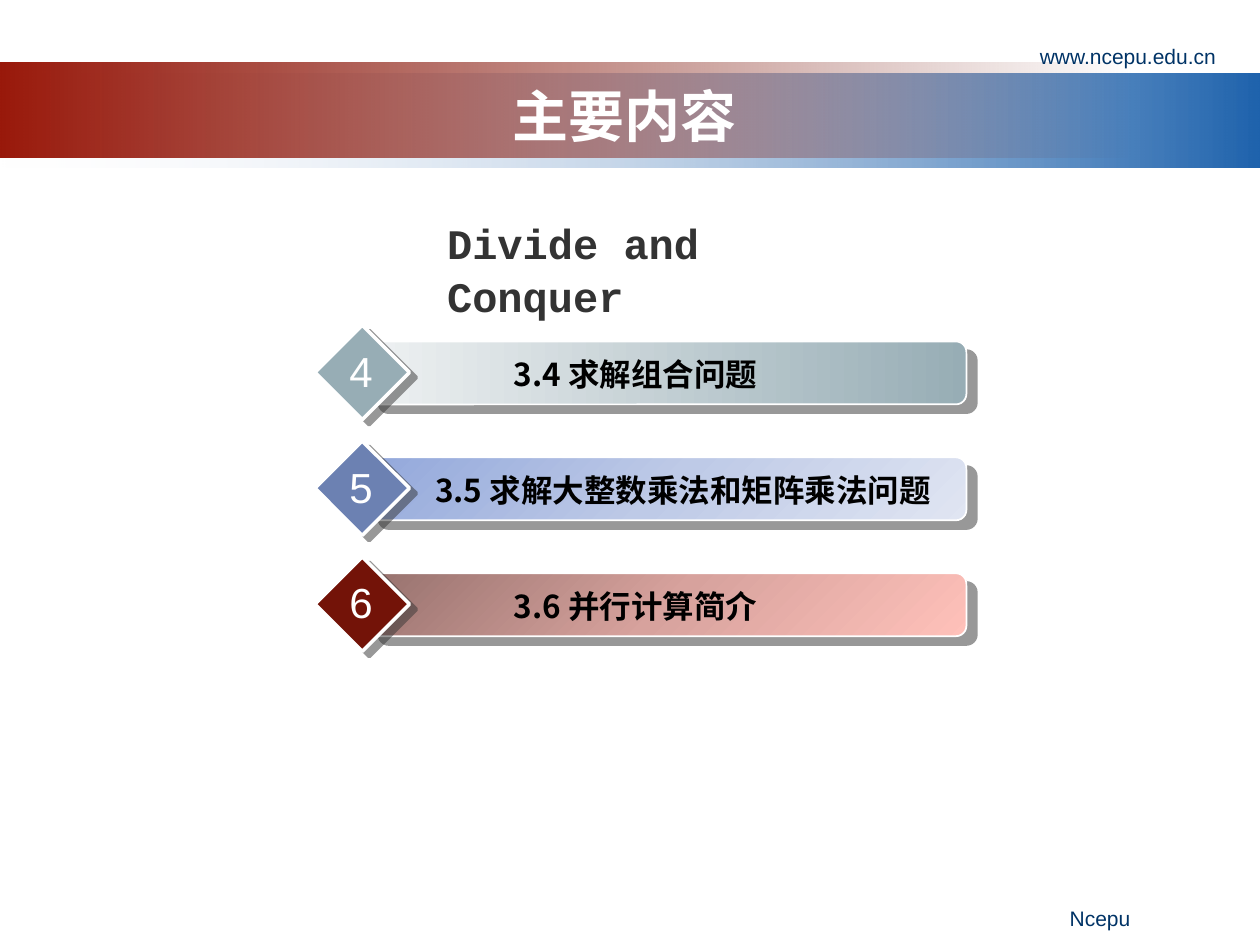
import pptx
import pptx.dml.color
import pptx.enum.shapes
import pptx.enum.text
import pptx.oxml.ns
import pptx.util
from lxml import etree

Inches = pptx.util.Inches
Pt = pptx.util.Pt
qn = pptx.oxml.ns.qn
Shape = pptx.enum.shapes.MSO_SHAPE
Align = pptx.enum.text.PP_ALIGN
Anchor = pptx.enum.text.MSO_ANCHOR
AutoSize = pptx.enum.text.MSO_AUTO_SIZE

SANS = "Arial"
CJK = "Noto Sans CJK SC"
MONO = "Courier New"
NAVY = "003366"


def colour(code):
    return pptx.dml.color.RGBColor.from_string(code)


def add_colour(parent, code, opacity=100):
    node = etree.SubElement(parent, qn("a:srgbClr"), val=code)
    if opacity < 100:
        etree.SubElement(node, qn("a:alpha"), val=str(opacity * 1000))


def set_gradient(shape, stops, angle=0):
    """Stops are (position, colour) or (position, colour, opacity)."""
    shape.fill.gradient()
    gradient = shape._element.spPr.find(qn("a:gradFill"))
    stop_list = gradient.find(qn("a:gsLst"))
    for old in list(stop_list):
        stop_list.remove(old)
    for position, *shade in stops:
        stop = etree.SubElement(stop_list, qn("a:gs"), pos=str(position * 1000))
        add_colour(stop, *shade)
    gradient.find(qn("a:lin")).set("ang", str(angle * 60000))


def add_shadow(shape, distance, angle):
    effects = shape._element.spPr.find(qn("a:effectLst"))
    shadow = etree.SubElement(effects, qn("a:outerShdw"), blurRad="0",
                              dist=str(Pt(distance)), dir=str(angle * 60000),
                              algn="ctr", rotWithShape="0")
    add_colour(shadow, "333333", 50)


def add_preset(shapes, kind, box, outline=None):
    shape = shapes.add_shape(kind, *map(Inches, box))
    shape.shadow.inherit = False
    if outline:
        shape.line.color.rgb = colour("FFFFFF")
        shape.line.width = Pt(outline)
    else:
        shape.line.fill.background()
    return shape


def write(frame, text, size=12, font=SANS, ink=NAVY, bold=False,
          align=Align.LEFT, wrap=True, grow=False, spacing=None):
    frame.word_wrap = wrap
    frame.auto_size = AutoSize.SHAPE_TO_FIT_TEXT if grow else AutoSize.NONE
    para = frame.paragraphs[0]
    para.alignment = align
    if spacing:
        para.line_spacing = spacing
    span = para.add_run()
    span.text = text
    span.font.size = Pt(size)
    span.font.bold = bold
    span.font.color.rgb = colour(ink)
    span.font.name = font
    span.font._element.find(qn("a:latin")).addnext(
        etree.Element(qn("a:ea"), typeface=font))


def add_text(shapes, box, text, **style):
    write(shapes.add_textbox(*map(Inches, box)).text_frame, text, **style)


def add_header(page, left, top, width, height):
    # Two overlapping bands, each fading out
    blue = add_preset(page.shapes, Shape.RECTANGLE, (left, top + 0.08, width, height))
    set_gradient(blue, [(0, "F1F2F7", 0), (100, "1F63AD")])
    red = add_preset(page.shapes, Shape.RECTANGLE, (left, top, width * 0.9, height))
    set_gradient(red, [(0, "99190B"), (100, "6D1208", 0)])

    # Title, brought in front of the bands
    title = page.shapes.title
    title.left, title.top = Inches(left + 0.92), Inches(top + 0.1)
    title.width, title.height = Inches(8.08), Inches(0.62)
    title.text_frame.vertical_anchor = Anchor.MIDDLE
    write(title.text_frame, "主要内容", size=32, font=CJK, ink="FFFFFF",
          bold=True, align=Align.CENTER)
    red._element.addnext(title._element)


def add_topic(page, left, top, number, text, text_width, badge_fill, stops, angle):
    shapes = page.shapes.add_group_shape().shapes

    # Bar
    bar = add_preset(shapes, Shape.ROUNDED_RECTANGLE,
                     (left + 0.42, top + 0.13, 4.75, 0.5), outline=1)
    bar.adjustments[0] = 0.167
    set_gradient(bar, stops, angle)
    add_shadow(bar, 7.8, 40)

    # Diamond badge
    badge = add_preset(shapes, Shape.DIAMOND, (left, top, 0.75, 0.75), outline=2)
    badge.fill.solid()
    badge.fill.fore_color.rgb = colour(badge_fill)
    add_shadow(badge, 5, 37)

    # Labels
    add_text(shapes, (left + 0.67, top + 0.19, text_width, 0.4), text, size=18,
             font=CJK, ink="000000", bold=True, align=Align.CENTER, grow=True)
    add_text(shapes, (left + 0.17, top + 0.11, 0.39, 0.5), number, size=24,
             ink="FFFFFF", align=Align.CENTER, wrap=False, grow=True)


def add_topics(page, left, top, pitch):
    topics = [
        ("4", "3.4 求解组合问题", 3.75, "97ADB5",
         [(0, "EEF1F2"), (100, "97ADB5")], 0),
        ("5", "3.5 求解大整数乘法和矩阵乘法问题", 4.5, "6C81B2",
         [(0, "93A8DB"), (50, "BECAE7"), (100, "E0E5F2")], 45),
        ("6", "3.6 并行计算简介", 3.75, "731308",
         [(0, "97726E"), (50, "D7A29D"), (100, "FFC1BA")], 45),
    ]
    for row, topic in enumerate(topics):
        add_topic(page, left, top + row * pitch, *topic)


def main():
    deck = pptx.Presentation()
    deck.slide_width, deck.slide_height = Inches(10), Inches(7.5)
    page = deck.slides.add_slide(deck.slide_layouts[5])

    add_header(page, 0, 0.5, 10, 0.75)

    # Site address and footer
    add_text(page.shapes, (7.42, 0.3, 2.33, 0.27), "www.ncepu.edu.cn", align=Align.RIGHT)
    add_text(page.shapes, (5.9, 7.14, 3.17, 0.3), "Ncepu", align=Align.RIGHT)

    add_topics(page, 2.5, 2.58, 0.92)

    # Chapter heading
    add_text(page.shapes, (3.45, 1.66, 3.5, 0.5), "Divide and Conquer", size=24,
             font=MONO, ink="333333", bold=True, grow=True, spacing=1.05)

    deck.save("out.pptx")


if __name__ == "__main__":
    main()
